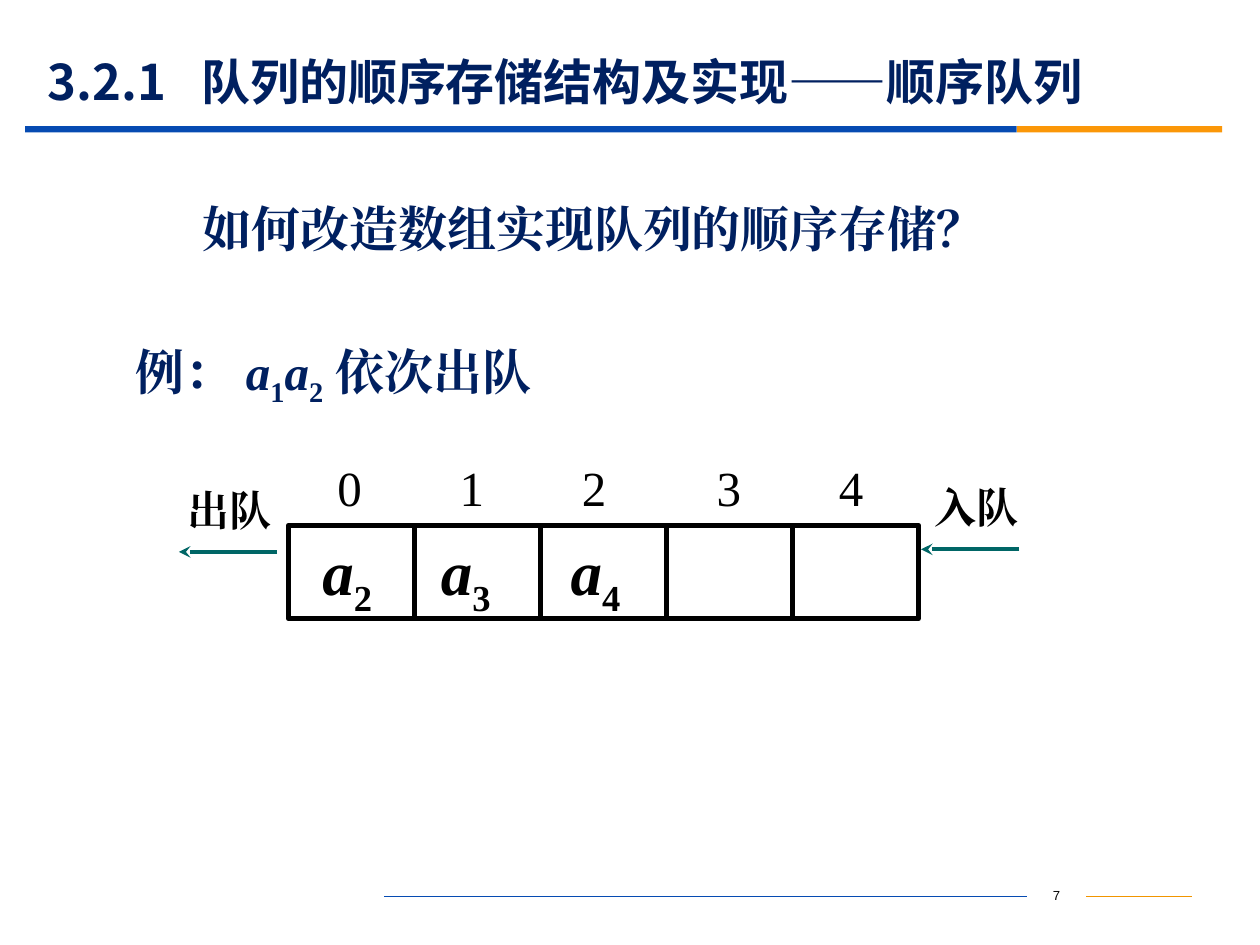
import dataclasses
import pptx
import pptx.dml.color
import pptx.enum.shapes
import pptx.enum.text
import pptx.oxml
import pptx.oxml.ns
import pptx.util

GRID = 10
ALIGN = pptx.enum.text.PP_ALIGN


@dataclasses.dataclass(frozen=True)
class Theme:
    """Colours, fonts and type sizes of the slide."""
    navy: str = "002060"
    blue: str = "064BB2"
    gold: str = "FB9708"
    amber: str = "F19500"
    teal: str = "006666"
    black: str = "000000"
    white: str = "FFFFFF"
    serif: str = "Times New Roman"
    sans: str = "Noto Sans CJK SC"
    plain: str = "Arial"
    head: float = 28
    label: float = 24
    item: float = 36
    note: float = 7.5


THEME = Theme()
DECK = pptx.Presentation()
DECK.slide_width = pptx.util.Inches(10)
DECK.slide_height = pptx.util.Inches(7.5)


def col(num):
    """Turn grid columns into a length; rows are as tall as columns are wide."""
    return round(DECK.slide_width * num / GRID)


def tint(code):
    """Turn a hex code into a colour."""
    return pptx.dml.color.RGBColor.from_string(code)


def node(host, tag, **attrs):
    """Append a drawing element to its host."""
    kid = pptx.oxml.ns.qn(tag)
    item = host.makeelement(kid, attrs)
    host.append(item)
    return item


def write(slide, box, parts, size, hue=THEME.navy, font=THEME.serif, bold=True,
          align=ALIGN.LEFT, fill=None, mid=False, stops=()):
    """Write runs, each a text with a style: i for italic, s for subscript."""
    shape = slide.shapes.add_textbox(*map(col, box))
    if fill:
        shape.fill.solid()
        shape.fill.fore_color.rgb = tint(fill)
    frame = shape.text_frame
    frame.word_wrap = True
    if mid:
        frame.vertical_anchor = pptx.enum.text.MSO_ANCHOR.MIDDLE
    para = frame.paragraphs[0]
    para.alignment = align
    if stops:
        tabs = node(para._p.get_or_add_pPr(), "a:tabLst")
        for stop in stops:
            node(tabs, "a:tab", pos=str(col(stop)), algn="l")
    for text, style in parts:
        run = para.add_run()
        run.text = text
        run.font.size = pptx.util.Pt(size)
        run.font.bold = bold
        run.font.italic = style == "i"
        run.font.name = font
        run.font.color.rgb = tint(hue)
        props = run._r.get_or_add_rPr()
        node(props, "a:ea", typeface=font)
        if style == "s":
            props.set("baseline", "-25000")


def block(slide, box, fill, edge=None):
    """Draw a filled rectangle with an optional heavy edge."""
    shape = slide.shapes.add_shape(
        pptx.enum.shapes.MSO_SHAPE.RECTANGLE, *map(col, box))
    shape.shadow.inherit = False
    shape.fill.solid()
    shape.fill.fore_color.rgb = tint(fill)
    if edge:
        shape.line.color.rgb = tint(edge)
        shape.line.width = pptx.util.Pt(3)
    else:
        shape.line.fill.background()


def rule(slide, start, end, y, hue, width, arrow=False):
    """Draw a level line, with a stealth arrowhead at its end if asked."""
    line = slide.shapes.add_connector(
        pptx.enum.shapes.MSO_CONNECTOR.STRAIGHT,
        col(start), col(y), col(end), col(y))
    line.line.color.rgb = tint(hue)
    line.line.width = pptx.util.Pt(width)
    if arrow:
        node(line.line._get_or_add_ln(), "a:tailEnd", type="stealth")
    node(line._element.spPr, "a:effectLst")


def foot(slide, box):
    """Place the page number between its two rules."""
    x, y, w, h = box
    num = 0.47
    left = x + 5.1
    mid = y + h / 2
    write(slide, (left, y, num, h), [("7", "")], THEME.note, THEME.black,
          THEME.plain, False, ALIGN.CENTER)
    rule(slide, left + num, x + w, mid, THEME.amber, 0.75)
    rule(slide, x, left, mid, THEME.blue, 0.75)


def head(slide, box):
    """Place the title over its two-colour bar."""
    x, y, w, h = box
    bar, long, thin = y + 0.57, 7.87, 0.05
    block(slide, (x, bar, long, thin), THEME.blue)
    block(slide, (x + long, bar, w - long, thin), THEME.gold)
    write(slide, (x + 0.08, y, 9, h),
          [("3.2.1\t队列的顺序存储结构及实现——顺序队列", "")],
          THEME.head, font=THEME.sans, mid=True, stops=[1.22])


def lead(slide, box):
    """Place the question and the example below it."""
    x, y, w, h = box
    row = 0.57
    write(slide, (x + 0.53, y, w - 0.53, row),
          [("如何改造数组实现队列的顺序存储？", "")], THEME.head)
    write(slide, (x, y + h - row, w / 2, row),
          [("例： ", ""), ("a", "i"), ("1", "s"), ("a", "i"), ("2", "s"),
           (" 依次出队", "")], THEME.head)


def queue(slide, box):
    """Draw the array cells, their indices, items and end arrows."""
    x, y, w, h = box
    count = 5
    step = w / count
    for num in range(count):
        block(slide, (x + num * step, y, step, h), THEME.white, THEME.black)
    write(slide, (x + 0.29, y - 0.59, 4.68, 0.57), [("0\t1\t2\t3\t4", "")],
          THEME.head, THEME.black, bold=False, fill=THEME.white,
          stops=[0.97, 1.94, 3.01, 3.98])
    ends = [("入队", x + w + 0.03, y - 0.4, 1.08, ALIGN.LEFT, x + w + 0.02, 0.19),
            ("出队", x - 1.04, y - 0.37, 1, ALIGN.RIGHT, x - 0.87, 0.21)]
    for text, left, top, wide, align, tip, drop in ends:
        rule(slide, tip + 0.78, tip, y + drop, THEME.teal, 2.25, True)
        write(slide, (left, top, wide, 0.5), [(text, "")], THEME.label,
              THEME.black, align=align, fill=THEME.white)
    for num, shift in zip("234", (0.17, 1.11, 2.14)):
        write(slide, (x + shift, y + 0.01, 0.64, 0.7),
              [("a", "i"), (num, "s")], THEME.item, THEME.black)


def main():
    """Build the slide and save it."""
    slide = DECK.slides.add_slide(DECK.slide_layouts[6])
    foot(slide, (3.05, 6.99, 6.41, 0.25))
    head(slide, (0.2, 0.43, 9.5, 0.43))
    lead(slide, (0.98, 1.53, 7.42, 1.7))
    queue(slide, (2.29, 4.17, 5, 0.74))
    DECK.save("out.pptx")


if __name__ == "__main__":
    main()
